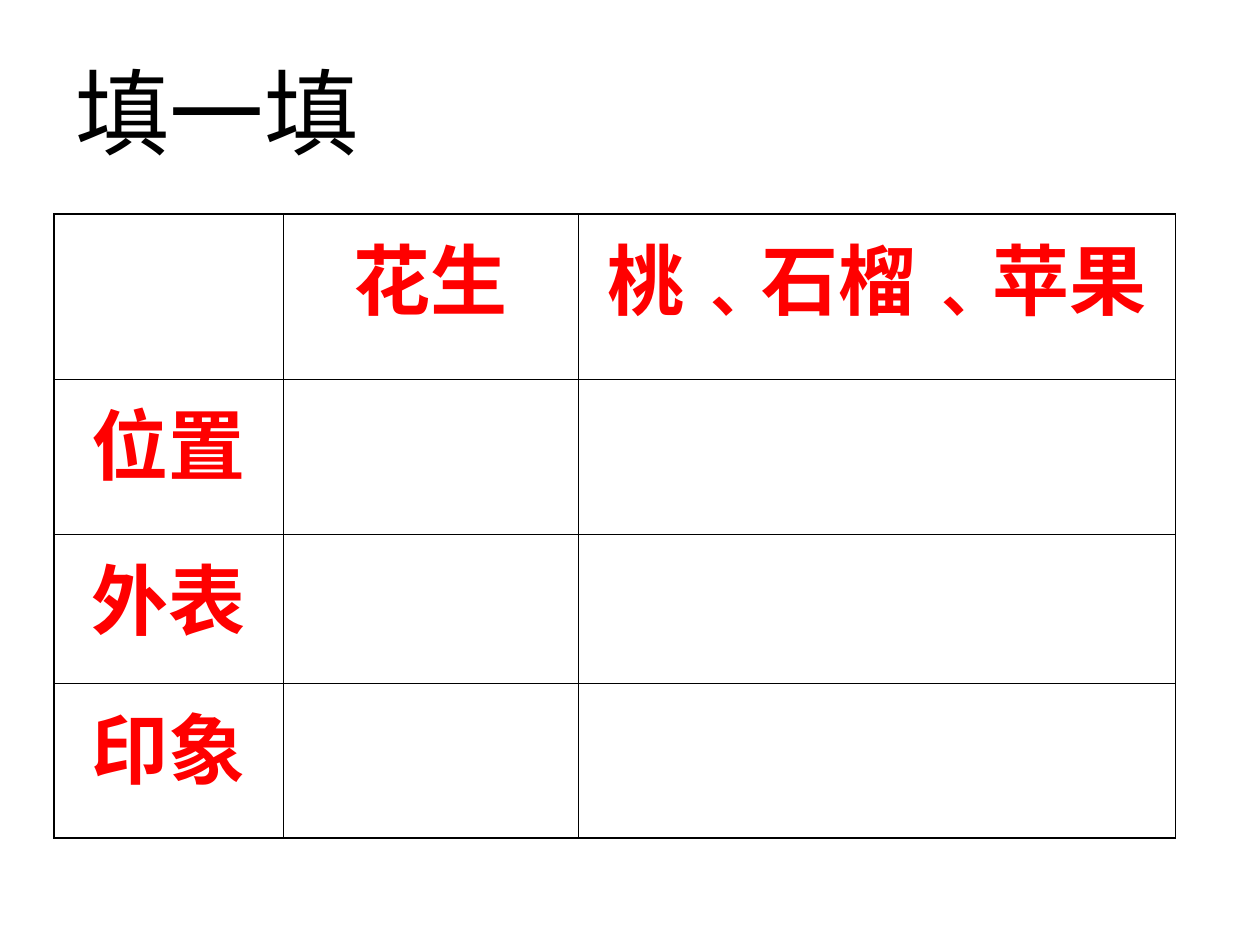
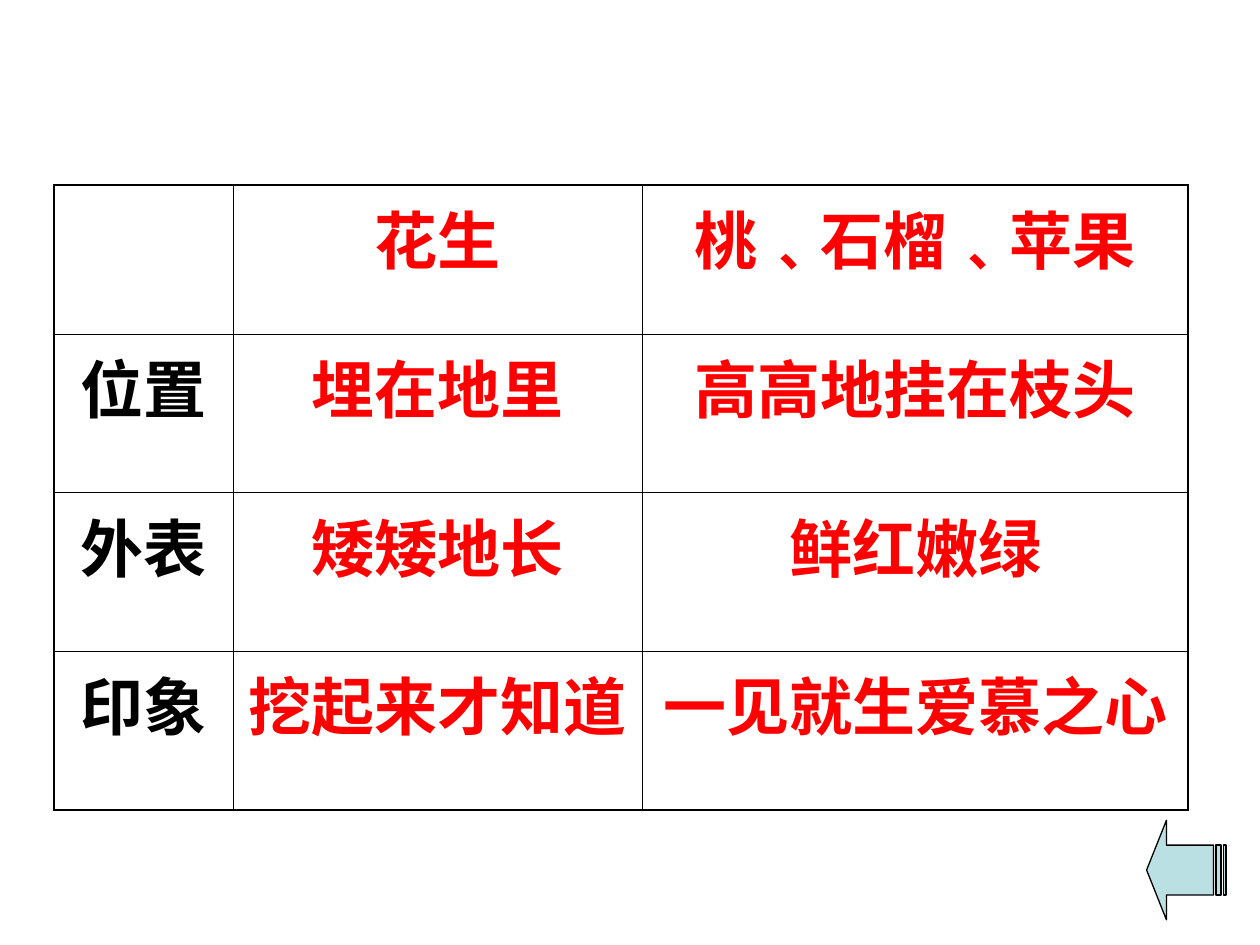
from dataclasses import dataclass

from lxml import etree
from pptx import Presentation
from pptx.dml.color import RGBColor
from pptx.enum.lang import MSO_LANGUAGE_ID
from pptx.enum.shapes import MSO_SHAPE
from pptx.enum.text import MSO_ANCHOR, PP_ALIGN
from pptx.oxml.ns import qn
from pptx.util import Pt

CENTER, LEFT = PP_ALIGN.CENTER, PP_ALIGN.LEFT
MIDDLE = MSO_ANCHOR.MIDDLE
STRIPED_ARROW = MSO_SHAPE.STRIPED_RIGHT_ARROW
CHINESE = MSO_LANGUAGE_ID.SIMPLIFIED_CHINESE

EMU_PER_PX = 9144  # 100 px to the inch


def px(length):
    return length * EMU_PER_PX


@dataclass(frozen=True)
class Theme:
    font: str = "Arial"
    ink: str = "000000"
    accent: str = "FF0000"
    arrow: str = "BBE0E3"
    title_size: int = 54
    question_size: int = 44
    answer_size: int = 36
    outer_line: float = 1.08
    inner_line: float = 0.45
    arrow_line: float = 0.75


class SlideBuilder:
    def __init__(self, deck, theme):
        self.deck = deck
        self.theme = theme
        self.slide = None

    def new_slide(self):
        self.slide = self.deck.slides.add_slide(self.deck.slide_layouts[6])

    def set_text(self, frame, text, size, color, align=LEFT, bold=False):
        frame.text = text
        para = frame.paragraphs[0]
        para.alignment = align
        for span in para.runs:
            span.font.name = self.theme.font
            span.font.size = Pt(size)
            span.font.bold = bold
            span.font.color.rgb = RGBColor.from_string(color)
            span.font.language_id = CHINESE

    def title(self, text, left, top, width, height):
        box = self.slide.shapes.add_textbox(px(left), px(top), px(width), px(height))
        box.text_frame.word_wrap = True
        box.text_frame.vertical_anchor = MIDDLE
        self.set_text(box.text_frame, text, self.theme.title_size, self.theme.ink)

    def borders(self, cell, outer_sides):
        properties = cell._tc.get_or_add_tcPr()
        for position, side in enumerate("LRTB"):
            width = self.theme.outer_line if side in outer_sides else self.theme.inner_line
            line = etree.Element(qn(f"a:ln{side}"), w=str(Pt(width)))
            fill = etree.SubElement(line, qn("a:solidFill"))
            etree.SubElement(fill, qn("a:srgbClr"), val=self.theme.ink)
            properties.insert(position, line)

    def table(self, rows, left, top, widths, heights, size, label_color):
        frame = self.slide.shapes.add_table(
            len(heights), len(widths), px(left), px(top), px(sum(widths)), px(sum(heights)))
        table = frame.table
        table.first_row = table.horz_banding = False
        for column, width in zip(table.columns, widths):
            column.width = px(width)
        for row, height in zip(table.rows, heights):
            row.height = px(height)
        last_row, last_column = len(heights) - 1, len(widths) - 1
        for r, texts in enumerate(rows):
            for c, text in enumerate(texts):
                cell = table.cell(r, c)
                cell.fill.background()
                edges = {"L": c == 0, "R": c == last_column, "T": r == 0, "B": r == last_row}
                self.borders(cell, [side for side, outer in edges.items() if outer])
                if text:
                    color = label_color if c == 0 else self.theme.accent
                    self.set_text(cell.text_frame, text, size, color, CENTER, bold=True)

    def back_arrow(self, left, top, width, height):
        arrow = self.slide.shapes.add_shape(
            STRIPED_ARROW, px(left), px(top), px(width), px(height))
        arrow.rotation = 180
        arrow.adjustments[0] = 0.5
        arrow.adjustments[1] = 0.25
        arrow.shadow.inherit = False
        arrow.fill.solid()
        arrow.fill.fore_color.rgb = RGBColor.from_string(self.theme.arrow)
        arrow.line.color.rgb = RGBColor.from_string(self.theme.ink)
        arrow.line.width = Pt(self.theme.arrow_line)


HEADINGS = ["", "花生", "桃﹑石榴﹑苹果"]
ANSWERS = {
    "位置": ["埋在地里", "高高地挂在枝头"],
    "外表": ["矮矮地长", "鲜红嫩绿"],
    "印象": ["挖起来才知道", "一见就生爱慕之心"],
}
TABLE_LEFT = 43


def main():
    deck = Presentation()
    deck.slide_width, deck.slide_height = px(1000), px(750)
    theme = Theme()
    builder = SlideBuilder(deck, theme)

    # Blank table to fill in
    builder.new_slide()
    builder.title("填一填", 50, 30, 332, 116)
    blank_rows = [HEADINGS] + [[label, "", ""] for label in ANSWERS]
    builder.table(blank_rows, TABLE_LEFT, 170, [182, 234, 474], [131, 123, 118, 123],
                  theme.question_size, theme.accent)

    # Completed table
    builder.new_slide()
    answer_rows = [HEADINGS] + [[label, *answers] for label, answers in ANSWERS.items()]
    builder.table(answer_rows, TABLE_LEFT, 147, [142, 325, 433], [118] + [126] * 3,
                  theme.answer_size, theme.ink)
    builder.back_arrow(910, 651, 63, 79)

    deck.save("out.pptx")


if __name__ == "__main__":
    main()
